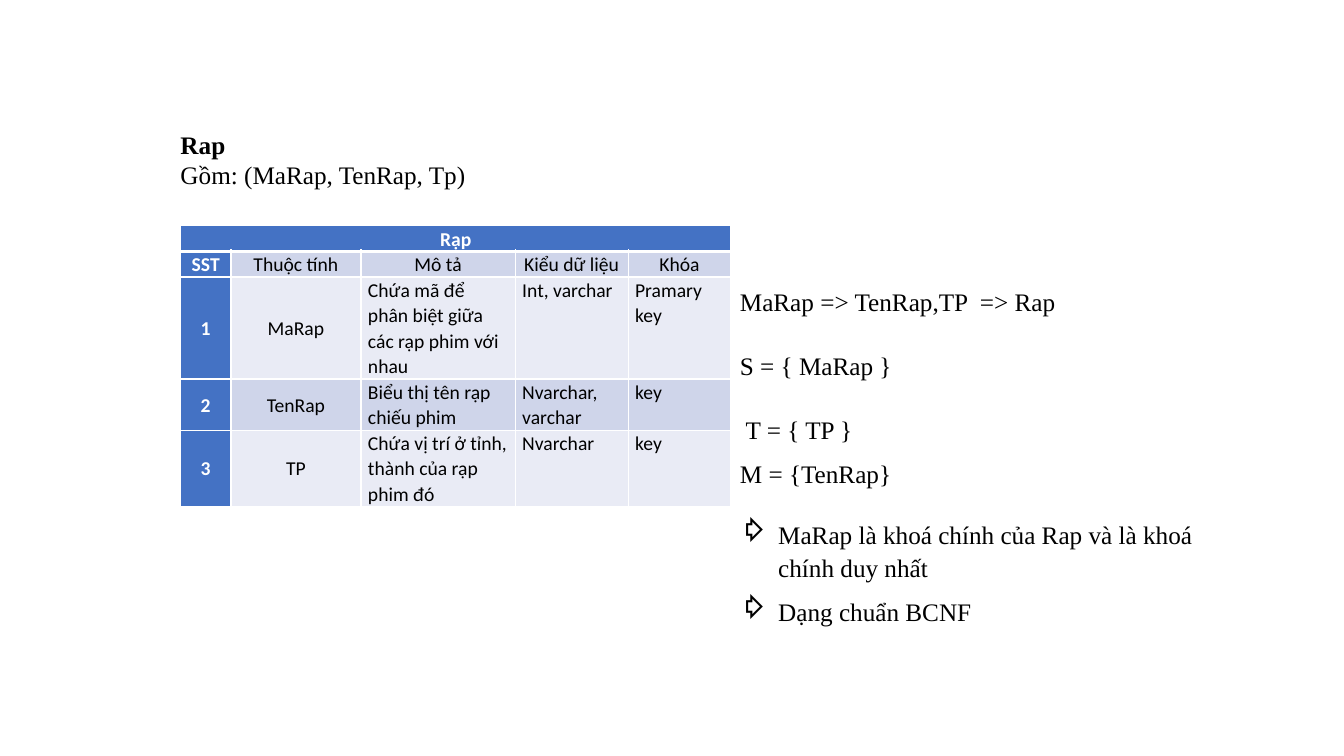
from dataclasses import dataclass

from lxml import etree
from pptx import Presentation
from pptx.dml.color import RGBColor
from pptx.enum import text as t
from pptx.oxml import ns
from pptx.util import Inches, Pt

HEADING = ["Rap", "Gồm: (MaRap, TenRap, Tp)"]
TABLE_NAME = "Rạp"
ATTRIBUTES = [
    ("SST", "Thuộc tính", "Mô tả", "Kiểu dữ liệu", "Khóa"),
    ("1", "MaRap", "Chứa mã để phân biệt giữa các rạp phim với nhau", "Int, varchar", "Pramary key"),
    ("2", "TenRap", "Biểu thị tên rạp chiếu phim", "Nvarchar, varchar", "key"),
    ("3", "TP", "Chứa vị trí ở tỉnh, thành của rạp phim đó", "Nvarchar", "key"),
]
COLUMN_WIDTHS = [0.5, 1.29, 1.53, 1.12, 1.02]
ROW_LINES = [1, 1, 4, 2, 3]
LINE_HEIGHT = 0.25
DEPENDENCIES = [
    ("MaRap => TenRap,TP  => Rap", 1.76, 9.2),
    ("S = { MaRap }", 1.76, 0),
    (" T = { TP }", 1.76, 0),
    ("M = {TenRap}", 1.07, 0.1),
]
CONCLUSIONS = [
    ("MaRap là khoá chính của Rap và là khoá chính duy nhất", 1.07, 12.5),
    ("Dạng chuẩn BCNF", 1.07, 0.9),
]


@dataclass(frozen=True)
class Theme:
    serif: str = "Times New Roman"
    sans: str = "Calibri"
    body_size: float = 18
    table_size: float = 14
    ink: str = "000000"
    white: str = "FFFFFF"
    accent: str = "4472C4"
    bands: tuple = ("CFD5EA", "E9EBF5")


THEME = Theme()


def write(paragraph, words, face, size, color=THEME.ink, bold=False, spacing=1.0,
          before=0, after=0, align=t.PP_ALIGN.LEFT, bullet=None):
    paragraph.text = words
    paragraph.alignment = align
    paragraph.line_spacing = spacing
    paragraph.space_before = Pt(before)
    paragraph.space_after = Pt(after)
    if bullet:
        properties = paragraph._p.get_or_add_pPr()
        properties.set("marL", str(Inches(0.38)))
        properties.set("indent", str(-Inches(0.38)))
        etree.SubElement(properties, ns.qn("a:buChar")).set("char", bullet)
    font = paragraph.font
    font.name, font.size, font.bold = face, Pt(size), bold
    font.color.rgb = RGBColor.from_string(color)


def paragraphs(frame, count):
    for _ in range(count - 1):
        frame.add_paragraph()
    return frame.paragraphs


def add_border(cell, side, width):
    line = etree.SubElement(cell._tc.get_or_add_tcPr(), ns.qn(f"a:ln{side}"), w=str(Pt(width)))
    fill = etree.SubElement(line, ns.qn("a:solidFill"))
    etree.SubElement(fill, ns.qn("a:srgbClr"), val=THEME.white)


def style_cell(cell, row, column, words):
    emphasized = row == 0 or column == 0
    centered = row < 2 or column < 2
    for side in "LRTB":
        under_name = (row, side) in ((0, "B"), (1, "T"))
        add_border(cell, side, 3 if under_name else 1)
    cell.fill.solid()
    cell.fill.fore_color.rgb = RGBColor.from_string(
        THEME.accent if emphasized else THEME.bands[(row - 1) % 2])
    cell.margin_left = cell.margin_right = Inches(0.07)
    cell.margin_top = cell.margin_bottom = 0
    cell.vertical_anchor = t.MSO_ANCHOR.MIDDLE if centered else t.MSO_ANCHOR.TOP
    write(cell.text_frame.paragraphs[0], words, THEME.sans, THEME.table_size,
          THEME.white if emphasized else THEME.ink, emphasized, 1.07,
          align=t.PP_ALIGN.CENTER if centered else t.PP_ALIGN.LEFT)


def add_heading(slide):
    heading = slide.shapes.title
    heading.left, heading.top = Inches(1.69), Inches(1.21)
    heading.width, heading.height = Inches(6.67), Inches(0.73)
    frame = heading.text_frame
    frame.word_wrap = True
    frame.auto_size = t.MSO_AUTO_SIZE.NONE
    frame.vertical_anchor = t.MSO_ANCHOR.TOP
    name, members = paragraphs(frame, len(HEADING))
    write(name, HEADING[0], THEME.serif, THEME.body_size, bold=True, spacing=1.07, before=2)
    write(members, HEADING[1], THEME.serif, THEME.body_size)


def add_attributes(slide):
    rows = [(TABLE_NAME, "", "", "", "")] + ATTRIBUTES
    table = slide.shapes.add_table(
        len(rows), len(COLUMN_WIDTHS), Inches(1.79), Inches(2.24),
        Inches(sum(COLUMN_WIDTHS)), Inches(sum(ROW_LINES) * LINE_HEIGHT)).table
    for column, width in zip(table.columns, COLUMN_WIDTHS):
        column.width = Inches(width)
    for row, lines in zip(table.rows, ROW_LINES):
        row.height = Inches(lines * LINE_HEIGHT)
    for r, row in enumerate(rows):
        for c, words in enumerate(row):
            style_cell(table.cell(r, c), r, c, words)
    table.cell(0, 0).merge(table.cell(0, len(COLUMN_WIDTHS) - 1))


def add_analysis(slide):
    frame = slide.shapes.add_textbox(
        Inches(7.24), Inches(2.56), Inches(5.14), Inches(3.73)).text_frame
    frame.word_wrap = True
    entries = [(*entry, None) for entry in DEPENDENCIES]
    entries += [(*entry, "⇨") for entry in CONCLUSIONS]
    for paragraph, (words, spacing, before, bullet) in zip(paragraphs(frame, len(entries)), entries):
        write(paragraph, words, THEME.serif, THEME.body_size, spacing=spacing,
              before=before, after=8, bullet=bullet)


def main():
    deck = Presentation()
    deck.slide_width, deck.slide_height = Inches(13.33), Inches(7.5)
    slide = deck.slides.add_slide(deck.slide_layouts[5])
    add_heading(slide)
    add_attributes(slide)
    add_analysis(slide)
    deck.save("out.pptx")


if __name__ == "__main__":
    main()
